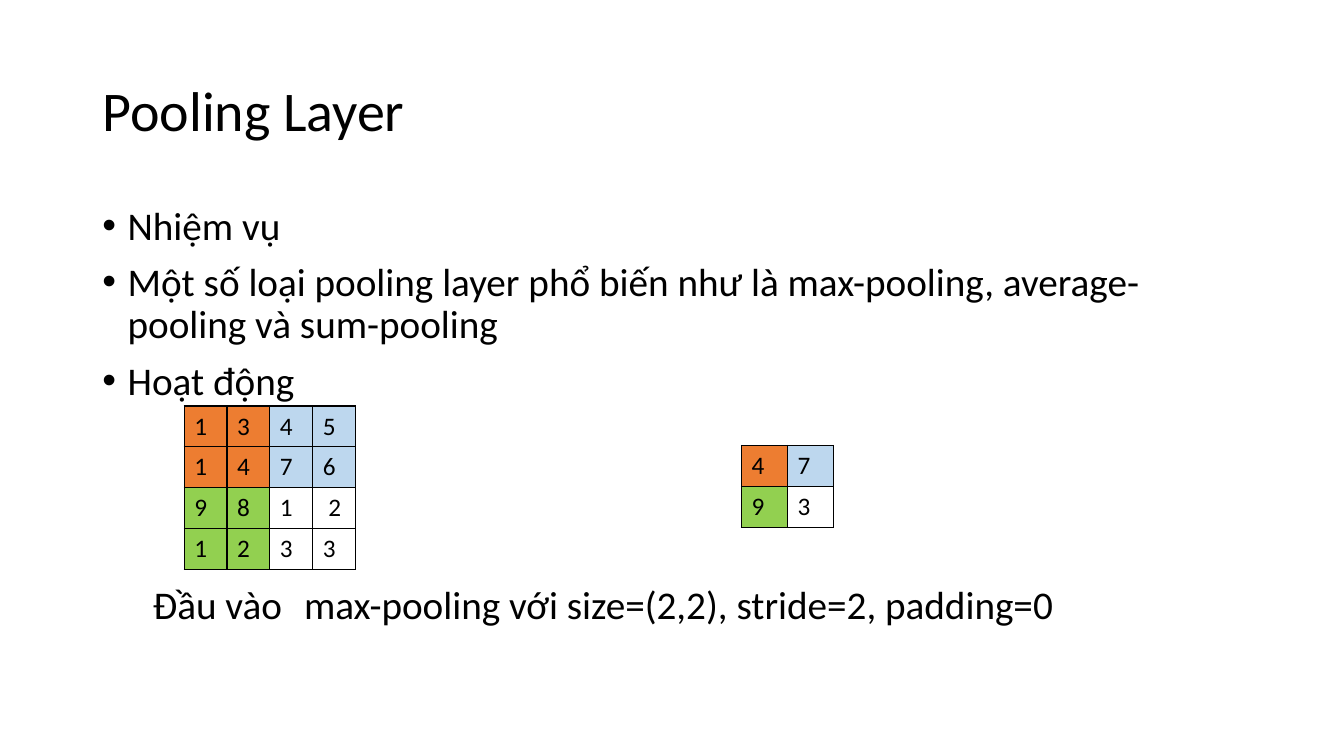
import pptx
import pptx.dml.color
import pptx.enum.text
import pptx.oxml.ns
import pptx.util
from lxml import etree

Pt = pptx.util.Pt
qn = pptx.oxml.ns.qn
COLORS = {"black": "000000", "orange": "ED7D31", "blue": "BDD7EE", "green": "92D050"}
QUADRANTS = [["orange", "blue"], ["green", None]]


def add_span(para, text, size):
    span = para.add_run()
    span.text = text
    span.font.name = "Calibri"
    span.font.size = Pt(size)
    span.font.color.rgb = pptx.dml.color.RGBColor.from_string(COLORS["black"])


def add_matrix(page, values, left, top, column_width):
    """Square table whose four quadrants share one colour each."""
    count = len(values)
    row_height = 28.4
    frame = page.shapes.add_table(count, count, Pt(left), Pt(top),
                                  Pt(column_width * count), Pt(row_height * count))
    table = frame.table
    table.first_row = table.horz_banding = False
    for column in table.columns:
        column.width = Pt(column_width)
    for r, row in enumerate(values):
        table.rows[r].height = Pt(row_height)
        for c, value in enumerate(row):
            cell = table.cell(r, c)
            add_span(cell.text_frame.paragraphs[0], value, 18)
            color = QUADRANTS[r * 2 // count][c * 2 // count]
            if color:
                cell.fill.solid()
                cell.fill.fore_color.rgb = pptx.dml.color.RGBColor.from_string(COLORS[color])
            else:
                cell.fill.background()
            # Borders come before the fill in the cell properties
            properties = cell._tc.get_or_add_tcPr()
            for position, side in enumerate(["a:lnL", "a:lnR", "a:lnT", "a:lnB"]):
                line = etree.Element(qn(side), w=str(Pt(1)))
                fill = etree.SubElement(line, qn("a:solidFill"))
                etree.SubElement(fill, qn("a:srgbClr"), val=COLORS["black"])
                properties.insert(position, line)


deck = pptx.Presentation()
deck.slide_width, deck.slide_height = Pt(960), Pt(540)
page = deck.slides.add_slide(deck.slide_layouts[1])

# Title
title = page.shapes.title
title.left, title.top, title.width, title.height = Pt(66), Pt(28.75), Pt(828), Pt(104.4)
title.text_frame.vertical_anchor = pptx.enum.text.MSO_ANCHOR.MIDDLE
title.text_frame.auto_size = pptx.enum.text.MSO_AUTO_SIZE.NONE
para = title.text_frame.paragraphs[0]
para.alignment = pptx.enum.text.PP_ALIGN.LEFT
para.line_spacing = 0.9
add_span(para, "Pooling Layer", 40)

# Bullets, then the captions below the tables
body = page.placeholders[1]
body.left, body.top, body.width, body.height = Pt(66), Pt(143.75), Pt(828), Pt(342.6)
body.text_frame.auto_size = pptx.enum.text.MSO_AUTO_SIZE.NONE
bullets = [
    "Nhiệm vụ",
    "Một số loại pooling layer phổ biến như là max-pooling, average- pooling và sum-pooling",
    "Hoạt động",
]
captions = "\tĐầu vào\tmax-pooling với size=(2,2), stride=2, padding=0"
for index, text in enumerate(bullets + [captions]):
    is_bullet = index < len(bullets)
    para = body.text_frame.paragraphs[0] if index == 0 else body.text_frame.add_paragraph()
    para.line_spacing = 0.9
    para.space_before = Pt(10 if is_bullet else 130)
    add_span(para, text, 28)
    properties = para._p.get_or_add_pPr()
    properties.set("marL", str(Pt(18 if is_bullet else 0)))
    properties.set("indent", str(Pt(-18 if is_bullet else 0)))
    if is_bullet:
        etree.SubElement(properties, qn("a:buFont"), typeface="Arial")
        etree.SubElement(properties, qn("a:buChar"), char="•")
    else:
        etree.SubElement(properties, qn("a:buNone"))
        tabs = etree.SubElement(properties, qn("a:tabLst"))
        for stop in [57.5, 231.5]:
            etree.SubElement(tabs, qn("a:tab"), pos=str(Pt(stop)), algn="l")

# Input matrix and its pooled result
add_matrix(page, [["1", "3", "4", "5"],
                  ["1", "4", "7", "6"],
                  ["9", "8", "1", " 2"],
                  ["1", "2", "3", "3"]], 131.6, 290, 30.6)
add_matrix(page, [["4", "7"],
                  ["9", "3"]], 529.7, 318.2, 32.8)

deck.save("out.pptx")
